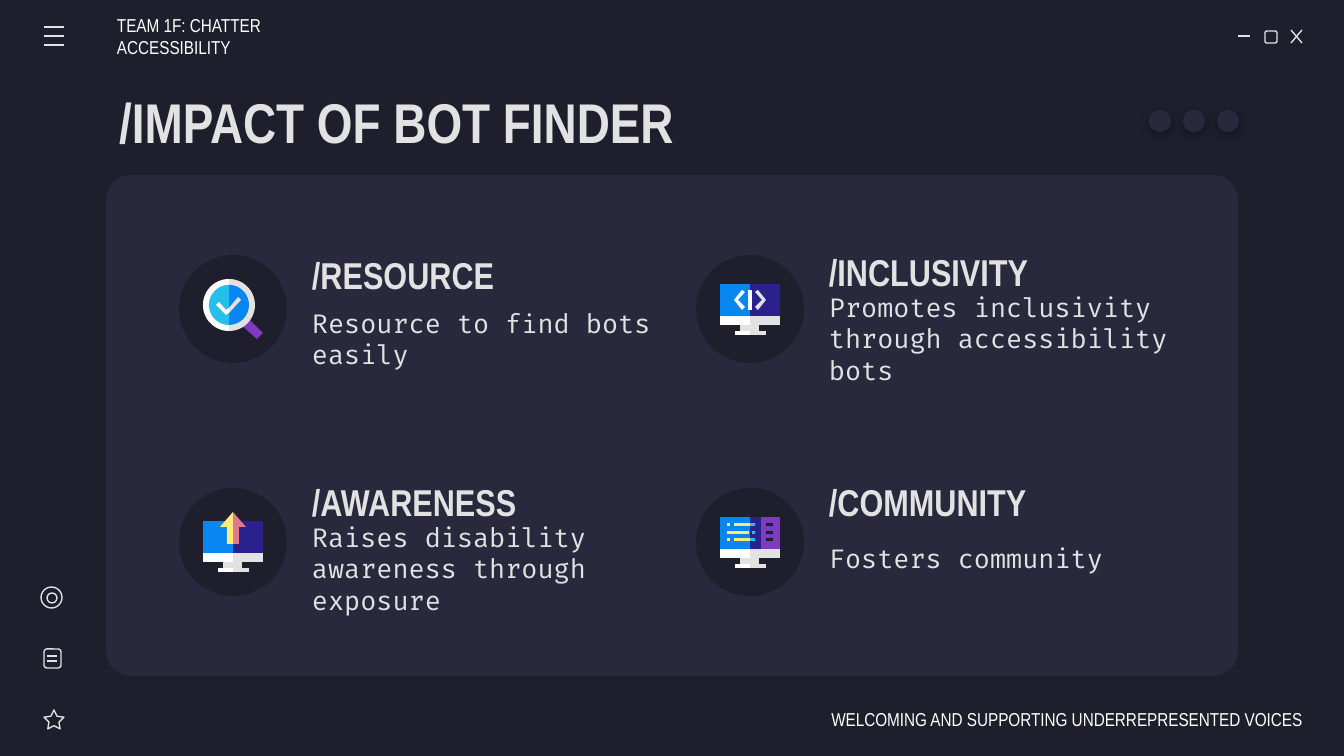
import math

import pptx
import pptx.dml.color
import pptx.enum.shapes
import pptx.enum.text
import pptx.oxml
import pptx.oxml.ns
import pptx.util

RGB = pptx.dml.color.RGBColor
SHAPE = pptx.enum.shapes.MSO_SHAPE
ALIGN = pptx.enum.text.PP_ALIGN
SCALE = 914400 / 134.4  # EMU in one px

NIGHT = RGB(0x1E, 0x1E, 0x2C)
PANEL = RGB(0x29, 0x28, 0x3D)
PALE = RGB(0xE2, 0xE2, 0xE2)
WHITE = RGB(0xFF, 0xFF, 0xFF)
BLUE = RGB(0x08, 0x87, 0xF2)
NAVY = RGB(0x2B, 0x21, 0x8D)
CYAN = RGB(0x24, 0xBF, 0xEB)
PURPLE = RGB(0x7E, 0x3B, 0xBE)
YELLOW = RGB(0xFF, 0xEA, 0x7D)
PINK = RGB(0xE0, 0x7A, 0x88)

HEADING = {"name": "Arial Narrow", "size": pptx.util.Pt(20), "bold": True}
TITLE = {**HEADING, "size": pptx.util.Pt(30)}
BODY = {"name": "Fira Code", "size": pptx.util.Pt(14), "bold": False}
SMALL = {"name": "Arial Narrow", "size": pptx.util.Pt(10), "bold": False}

SHADOW = (
    '<a:effectLst %s><a:outerShdw blurRad="57150" dist="19050" dir="5400000" '
    'algn="bl" rotWithShape="0"><a:srgbClr val="000000"><a:alpha val="30000"/>'
    "</a:srgbClr></a:outerShdw></a:effectLst>" % pptx.oxml.ns.nsdecls("a")
)
NO_EFFECT = "<a:effectLst %s/>" % pptx.oxml.ns.nsdecls("a")


def px(length):
    return pptx.util.Emu(round(length * SCALE))


def set_effect(shape, xml):
    shape._element.spPr.append(pptx.oxml.parse_xml(xml))


def add_solid(shapes, kind, frame, colour):
    shape = shapes.add_shape(kind, *map(px, frame))
    shape.shadow.inherit = False
    shape.fill.solid()
    shape.fill.fore_color.rgb = colour
    shape.line.fill.background()
    return shape


def add_outline(shapes, kind, frame):
    shape = shapes.add_shape(kind, *map(px, frame))
    shape.shadow.inherit = False
    shape.fill.background()
    shape.line.color.rgb = PALE
    shape.line.width = pptx.util.Pt(0.75)
    return shape


def add_line(shapes, *ends):
    line = shapes.add_connector(pptx.enum.shapes.MSO_CONNECTOR.STRAIGHT, *map(px, ends))
    line.line.color.rgb = PALE
    line.line.width = pptx.util.Pt(0.75)
    set_effect(line, NO_EFFECT)


def add_text(page, text, frame, style, colour=PALE, insets=(13, 13), align=ALIGN.LEFT):
    """Insets are the left and right margins in px."""
    box = page.shapes.add_textbox(*map(px, frame))
    layout = {
        "word_wrap": True,
        "vertical_anchor": pptx.enum.text.MSO_ANCHOR.MIDDLE,
        "margin_left": px(insets[0]),
        "margin_right": px(insets[1]),
        "margin_top": px(13),
        "margin_bottom": px(13),
    }
    for name, value in layout.items():
        setattr(box.text_frame, name, value)
    para = box.text_frame.paragraphs[0]
    para.alignment = align
    span = para.add_run()
    span.text = text
    for name, value in style.items():
        setattr(span.font, name, value)
    span.font.color.rgb = colour


class Icon:
    """A dark disc with flat artwork, measured from the disc's top left corner."""

    def __init__(self, page, left, top):
        self.left, self.top = left, top
        self.shapes = page.shapes.add_group_shape().shapes
        add_solid(self.shapes, SHAPE.OVAL, (left, top, 108, 108), NIGHT)

    def polygon(self, colour, points):
        placed = [(px(self.left + x), px(self.top + y)) for x, y in points]
        builder = self.shapes.build_freeform(*placed[0], scale=1.0)
        builder.add_line_segments(placed[1:], close=True)
        shape = builder.convert_to_shape()
        shape.shadow.inherit = False
        shape.fill.solid()
        shape.fill.fore_color.rgb = colour
        shape.line.fill.background()

    def bar(self, colour, x1, y1, x2, y2):
        self.polygon(colour, [(x1, y1), (x2, y1), (x2, y2), (x1, y2)])

    def half_disc(self, colour, radius, side):
        """Side is 1 for the right half and -1 for the left half."""
        angles = [math.radians(step * 6 - 90) for step in range(31)]
        self.polygon(colour, [(50 + side * radius * math.cos(angle),
                               50 + radius * math.sin(angle)) for angle in angles])

    def monitor(self, drop=0, screen_right=84):
        for colour, x1, y1, x2, y2 in (
            (NAVY, 54, 29, screen_right, 61),
            (BLUE, 24, 29, 54, 61),
            (PALE, 54, 70, 63, 78),
            (PALE, 44, 70, 54, 78),
            (PALE, 54, 76, 70, 80),
            (WHITE, 39, 76, 54, 80),
            (PALE, 54, 61, 84, 70),
            (WHITE, 24, 61, 54, 70),
        ):
            self.bar(colour, x1, y1 + drop, x2, y2 + drop)


def draw_magnifier(icon):
    icon.polygon(PURPLE, [(67, 61), (60, 68), (78, 84), (84, 78)])
    for radius, right, left in ((26, PALE, WHITE), (20, BLUE, CYAN)):
        icon.half_disc(right, radius, 1)
        icon.half_disc(left, radius, -1)
    icon.polygon(PALE, [(59, 42), (50, 53), (50, 58), (62, 45)])
    icon.polygon(WHITE, [(40, 47), (37, 50), (47, 60), (50, 58), (50, 53), (47, 55)])


def draw_code(icon):
    icon.monitor()
    chevron = [(46, 35), (38, 45), (46, 55), (49, 52), (42, 45), (49, 37)]
    icon.polygon(WHITE, chevron)
    icon.polygon(PALE, [(108 - x, y) for x, y in chevron])
    icon.bar(WHITE, 52, 35, 56, 55)


def draw_upload(icon):
    icon.monitor(drop=4)
    half_arrow = [(54, 24), (41, 39), (48, 39), (48, 56), (54, 56)]
    icon.polygon(PINK, [(108 - x, y) for x, y in half_arrow])
    icon.polygon(YELLOW, half_arrow)


def draw_list(icon):
    icon.monitor(screen_right=65)
    icon.bar(PURPLE, 65, 29, 84, 61)
    outer_row = ((YELLOW, 31, 34), (YELLOW, 38, 54), (CYAN, 54, 59))
    middle_row = ((YELLOW, 31, 53), (CYAN, 56, 59))
    for top, row in ((35, outer_row), (43, middle_row), (50, outer_row)):
        for colour, start, end in row + ((NIGHT, 70, 77),):
            icon.bar(colour, start, top, end, top + 3)


def add_window_frame(page):
    shapes = page.shapes
    add_line(shapes, 1238, 36, 1250, 36)
    add_outline(shapes, SHAPE.ROUNDED_RECTANGLE, (1265, 31, 12, 12))
    add_line(shapes, 1291, 30, 1302, 43)
    add_line(shapes, 1302, 30, 1291, 43)
    for row in range(3):
        add_line(shapes, 44, 27 + 9 * row, 64, 27 + 9 * row)
    for dot in range(3):
        shape = add_solid(shapes, SHAPE.OVAL, (1149 + 34 * dot, 110, 22, 22), PANEL)
        shape._element.spPr.remove(shape._element.spPr.find(pptx.oxml.ns.qn("a:effectLst")))
        set_effect(shape, SHADOW)


def add_side_icons(page):
    shapes = page.shapes
    add_outline(shapes, SHAPE.OVAL, (41, 587, 21, 21))
    add_outline(shapes, SHAPE.OVAL, (47, 593, 10, 10))
    add_outline(shapes, SHAPE.ROUNDED_RECTANGLE, (44, 649, 17, 19))
    for y in (656, 661):
        add_line(shapes, 47, y, 57, y)
    star = add_outline(shapes, SHAPE.STAR_5_POINT, (44, 710, 20, 19))
    star.adjustments[0] = 0.25


def main():
    deck = pptx.Presentation()
    deck.slide_width, deck.slide_height = px(1344), px(756)
    page = deck.slides.add_slide(deck.slide_layouts[6])
    page.background.fill.solid()
    page.background.fill.fore_color.rgb = NIGHT

    panel = add_solid(page.shapes, SHAPE.ROUNDED_RECTANGLE, (106, 175, 1132, 501), PANEL)
    panel.adjustments[0] = 0.05
    add_window_frame(page)
    add_side_icons(page)

    impacts = (
        ("/RESOURCE", "Resource to find bots easily", draw_magnifier, 246, 301),
        ("/INCLUSIVITY", "Promotes inclusivity through accessibility bots", draw_code, 243, 301),
        ("/AWARENESS", "Raises disability awareness through exposure", draw_upload, 473, 531),
        ("/COMMUNITY", "Fosters community", draw_list, 473, 521),
    )
    for index, (heading, body, draw, heading_top, body_top) in enumerate(impacts):
        row, column = divmod(index, 2)
        left = 179 + 517 * column
        draw(Icon(page, left, 255 + 233 * row))
        add_text(page, heading, (left + 120, heading_top, 367, 58), HEADING)
        add_text(page, body, (left + 120, body_top, 367, 75), BODY)

    add_text(page, "/IMPACT OF BOT FINDER", (106, 79, 1132, 85), TITLE)
    add_text(page, "TEAM 1F: CHATTER ACCESSIBILITY", (117, 16, 270, 40), SMALL,
             WHITE, insets=(0, 13))
    add_text(page, "WELCOMING AND SUPPORTING UNDERREPRESENTED VOICES",
             (770, 699, 532, 40), SMALL, WHITE, insets=(13, 0), align=ALIGN.RIGHT)
    deck.save("out.pptx")


if __name__ == "__main__":
    main()
